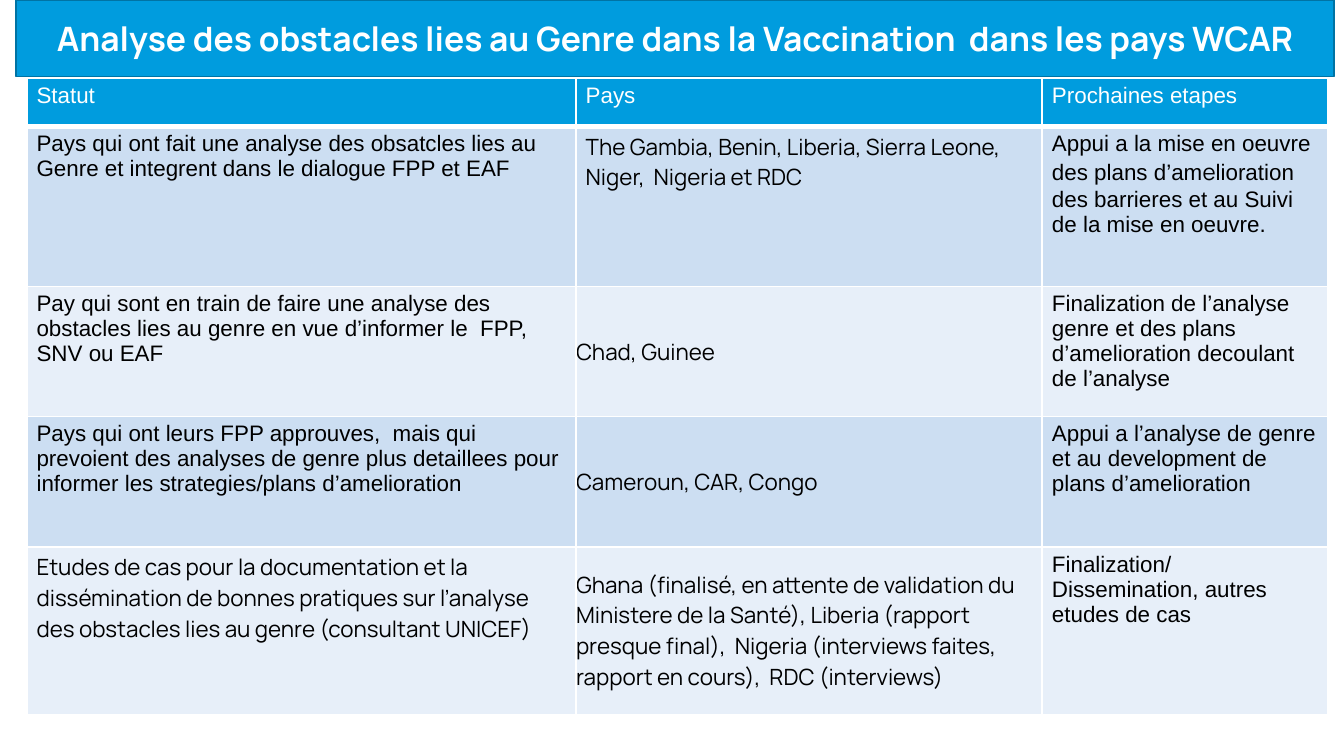
"""Build the slide on gender barriers to vaccination in WCAR countries."""
from dataclasses import dataclass

from lxml.etree import SubElement
from pptx import Presentation
from pptx.dml.color import RGBColor
from pptx.enum.text import MSO_ANCHOR, MSO_AUTO_SIZE, PP_ALIGN
from pptx.oxml.ns import qn
from pptx.slide import Slide
from pptx.table import _Cell
from pptx.util import Pt

BLUE = RGBColor(0x00, 0x9C, 0xDE)
DARK_BLUE = RGBColor(0x00, 0x73, 0xA4)
BAND_DARK = RGBColor(0xCC, 0xDE, 0xF2)
BAND_LIGHT = RGBColor(0xE7, 0xEF, 0xF9)
WHITE = RGBColor(0xFF, 0xFF, 0xFF)
BLACK = RGBColor(0x00, 0x00, 0x00)
ARIAL = "Arial"
MANROPE = "Manrope"
COLUMN_WIDTHS = (294.2, 249.8, 153.2)
ROW_HEIGHTS = (25.9, 85.7, 69.8, 69.8, 89.8)


@dataclass(frozen=True)
class Phrase:
    text: str
    font: str = ARIAL


@dataclass(frozen=True)
class Entry:
    paragraphs: tuple[tuple[Phrase, ...], ...]
    flush: bool = False


def entry(*lines: str, font: str = ARIAL, flush: bool = False) -> Entry:
    """Return an entry with one paragraph per line in a single font."""
    return Entry(tuple((Phrase(line, font),) for line in lines), flush)


STATUS_ROWS = (
    (entry("Statut"), entry("Pays"), entry("Prochaines etapes")),
    (
        entry("Pays qui ont fait une analyse des obsatcles lies au Genre et "
              "integrent dans le dialogue FPP et EAF"),
        entry("The Gambia, Benin, Liberia, Sierra Leone, Niger,  Nigeria et RDC",
              font=MANROPE),
        Entry(((
            Phrase("Appui a la mise en oeuvre des plans d’am"),
            Phrase("e", MANROPE),
            Phrase("lioration des barrieres et au Suivi de la mise en oeuvre."),
        ),)),
    ),
    (
        entry("Pay qui sont en train de faire une analyse des obstacles lies au "
              "genre en vue d’informer le  FPP, SNV ou EAF"),
        entry("Chad, Guinee", font=MANROPE, flush=True),
        entry("Finalization de l’analyse genre et des plans d’amelioration "
              "decoulant de l’analyse"),
    ),
    (
        entry("Pays qui ont leurs FPP approuves,  mais qui prevoient des analyses "
              "de genre plus detaillees pour informer les strategies/plans "
              "d’amelioration"),
        entry("Cameroun, CAR, Congo", font=MANROPE, flush=True),
        entry("Appui a l’analyse de genre et au development de plans "
              "d’amelioration"),
    ),
    (
        entry("Etudes de cas pour la documentation et la dissémination de bonnes "
              "pratiques sur l’analyse des obstacles lies au genre "
              "(consultant UNICEF)", font=MANROPE),
        entry("Ghana (finalisé, en attente de validation du Ministere de la "
              "Santé), Liberia (rapport presque final),  Nigeria (interviews "
              "faites, rapport en cours),  RDC (interviews)",
              font=MANROPE, flush=True),
        entry("Finalization/", "Dissemination, autres etudes de cas"),
    ),
)


def draw_title(slide: Slide, text: str) -> None:
    """Turn the title placeholder into the blue banner."""
    title = slide.shapes.title
    title.left, title.top = Pt(8.6), Pt(0)
    title.width, title.height = Pt(706.3), Pt(41)
    title.fill.solid()
    title.fill.fore_color.rgb = BLUE
    title.line.color.rgb = DARK_BLUE
    title.line.width = Pt(1)
    frame = title.text_frame
    frame.text = text
    frame.word_wrap = True
    frame.auto_size = MSO_AUTO_SIZE.NONE
    frame.vertical_anchor = MSO_ANCHOR.MIDDLE
    heading = frame.paragraphs[0]
    heading.alignment = PP_ALIGN.CENTER
    font = heading.runs[0].font
    font.name, font.size, font.bold = MANROPE, Pt(18), True
    font.color.rgb = WHITE


def draw_borders(cell: _Cell, bottom: float) -> None:
    """Give the cell white borders, with its own bottom width."""
    properties = cell._tc.get_or_add_tcPr()
    for side, width in (("L", 1), ("R", 1), ("T", 1), ("B", bottom)):
        border = SubElement(properties, qn(f"a:ln{side}"), w=str(Pt(width)))
        fill = SubElement(border, qn("a:solidFill"))
        SubElement(fill, qn("a:srgbClr"), val=str(WHITE))


def fill_cell(cell: _Cell, content: Entry, band: RGBColor, ink: RGBColor,
              bottom: float) -> None:
    """Write one entry into a table cell and format it."""
    draw_borders(cell, bottom)
    cell.fill.solid()
    cell.fill.fore_color.rgb = band
    cell.margin_left = cell.margin_right = Pt(0 if content.flush else 5.2)
    cell.margin_top = cell.margin_bottom = Pt(0 if content.flush else 2.6)
    cell.vertical_anchor = MSO_ANCHOR.MIDDLE if content.flush else MSO_ANCHOR.TOP
    frame = cell.text_frame
    for index, phrases in enumerate(content.paragraphs):
        paragraph = frame.add_paragraph() if index else frame.paragraphs[0]
        for phrase in phrases:
            run = paragraph.add_run()
            run.text = phrase.text
            run.font.name, run.font.size = phrase.font, Pt(12)
            run.font.bold = False
            run.font.color.rgb = ink


def draw_status_table(slide: Slide) -> None:
    """Draw the table of status, countries and next steps."""
    table = slide.shapes.add_table(
        len(ROW_HEIGHTS), len(COLUMN_WIDTHS), Pt(14.4), Pt(41.8),
        Pt(sum(COLUMN_WIDTHS)), Pt(sum(ROW_HEIGHTS))).table
    for column, width in zip(table.columns, COLUMN_WIDTHS):
        column.width = Pt(width)
    for index, (row, height) in enumerate(zip(table.rows, ROW_HEIGHTS)):
        row.height = Pt(height)
        header = index == 0
        band = BLUE if header else BAND_DARK if index % 2 else BAND_LIGHT
        for cell, content in zip(row.cells, STATUS_ROWS[index]):
            fill_cell(cell, content, band, WHITE if header else BLACK,
                      3 if header else 1)


def main() -> None:
    """Build and save the presentation."""
    presentation = Presentation()
    presentation.slide_width, presentation.slide_height = Pt(720), Pt(405)
    slide = presentation.slides.add_slide(presentation.slide_layouts[5])
    draw_title(slide, "Analyse des obstacles lies au Genre dans la Vaccination  "
                      "dans les pays WCAR")
    draw_status_table(slide)
    presentation.save("out.pptx")


if __name__ == "__main__":
    main()
